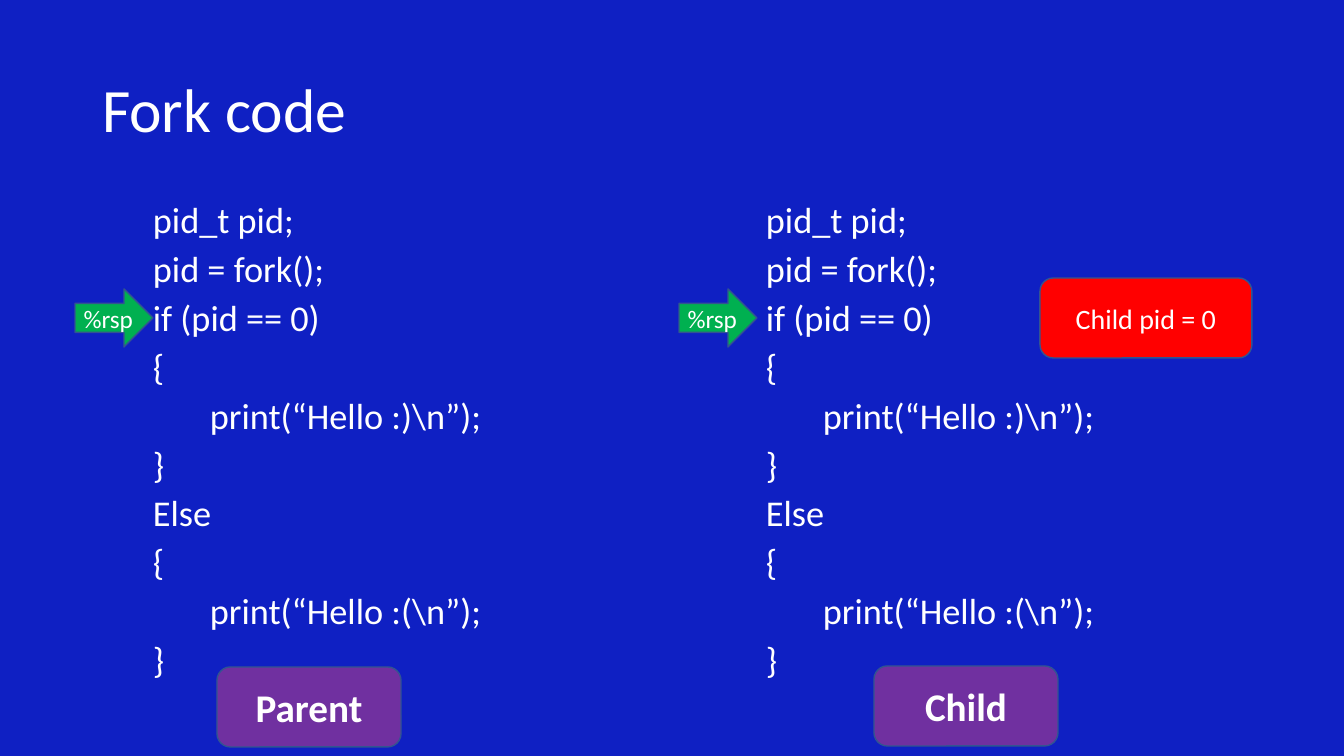
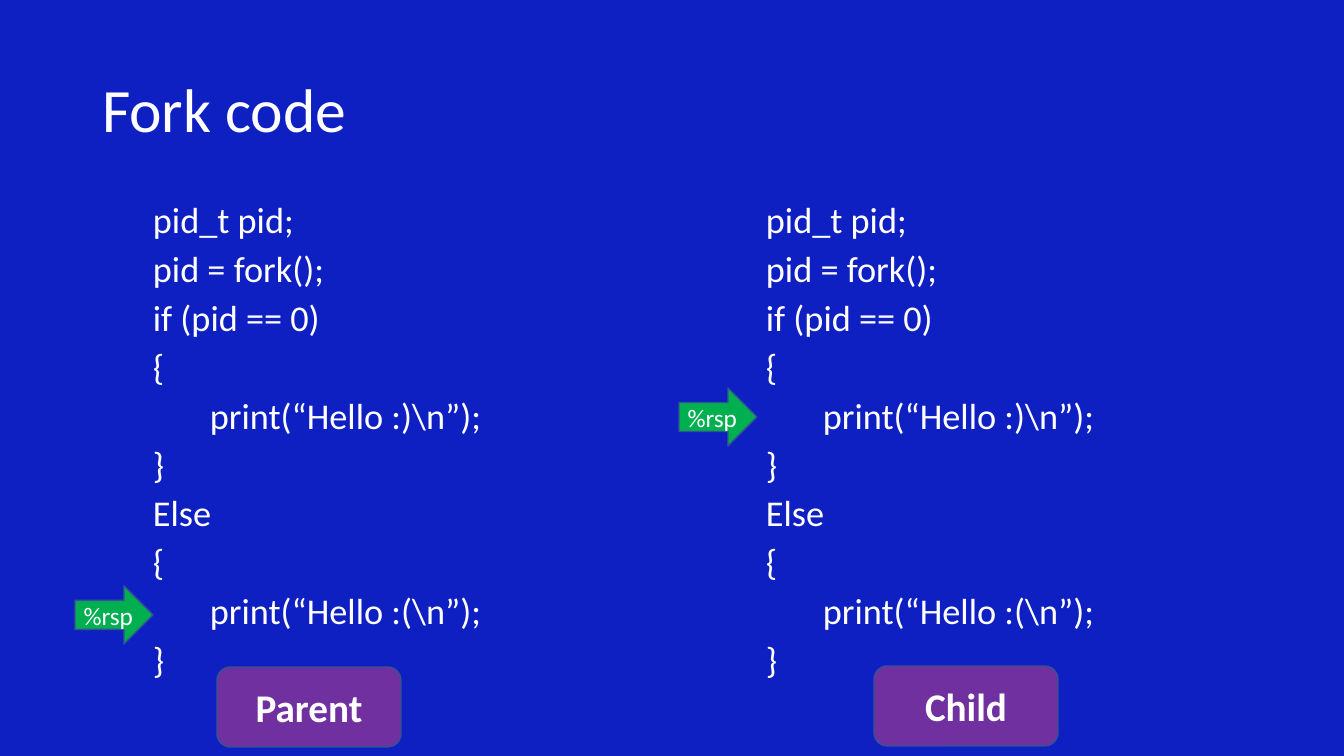
from pptx import Presentation
from pptx.dml.color import RGBColor
from pptx.enum.shapes import MSO_SHAPE as SHAPE
from pptx.enum.text import MSO_ANCHOR as ANCHOR, PP_ALIGN as ALIGN
from pptx.util import Emu, Pt

TITLE = "Fork code"
CODE = [  # indent level, text
    (0, "pid_t pid;"),
    (0, "pid = fork();"),
    (0, "if (pid == 0)"),
    (0, "{"),
    (1, "print(“Hello :)\\n”);"),
    (0, "}"),
    (0, "Else"),
    (0, "{"),
    (1, "print(“Hello :(\\n”);"),
    (0, "}"),
]
POINTER = "%rsp"
PROCESSES = [  # name, code left, arrow left, badge left and top
    ("Parent", 143, 75, 217, 667),
    ("Child", 756, 679, 874, 666),
]
SLIDES = [  # code row of each process, note on the right
    ((2, 2), "Child pid = 0"),
    ((8, 4), None),
]

BLUE, WHITE, OUTLINE = "0F20C3", "FFFFFF", "325491"
GREEN, PURPLE, RED = "00B050", "7030A0", "FF0000"
FONT = "Calibri"
PX = 914400 / 100.8
CODE_TOP, CODE_W, CODE_H, INDENT = 201, 435, 522, 57
ARROW_W, ARROW_H, ARROW_TOP, ROW_H = 78, 58, 190, 49.5
BADGE_W, BADGE_H = 184, 80
NOTE_BOX = (1040, 278, 212, 80)


def px(n):
    """Turn pixels into EMU."""
    return Emu(round(n * PX))


def rgb(hex_text):
    """Turn a hex string into a colour."""
    return RGBColor.from_string(hex_text)


def add_run(p, text, size, bold=False):
    """Add a white run to a paragraph."""
    r = p.add_run()
    r.text = text
    r.font.name, r.font.size, r.font.bold = FONT, Pt(size), bold
    r.font.color.rgb = rgb(WHITE)


def add_title(s):
    """Place and fill the title placeholder."""
    sp = s.shapes.title
    sp.left, sp.top, sp.width, sp.height = map(px, (92, 40, 1160, 146))
    tf = sp.text_frame
    tf.vertical_anchor = ANCHOR.MIDDLE
    p = tf.paragraphs[0]
    p.alignment, p.line_spacing = ALIGN.LEFT, 0.9
    add_run(p, TITLE, 44)


def add_code(s, left):
    """Add the code listing as one text box."""
    sp = s.shapes.add_textbox(*map(px, (left, CODE_TOP, CODE_W, CODE_H)))
    tf = sp.text_frame
    tf.word_wrap = True
    for i, (level, text) in enumerate(CODE):
        p = tf.add_paragraph() if i else tf.paragraphs[0]
        p.line_spacing, p.space_before = 0.8, Pt(10)
        p._p.get_or_add_pPr().set("marL", str(px(level * INDENT)))
        add_run(p, text, 25.9)


def add_label(s, kind, box, fill, text, size, bold=False, inset=0):
    """Add an outlined shape with centred text."""
    sp = s.shapes.add_shape(kind, *map(px, box))
    sp.shadow.inherit = False
    sp.fill.solid()
    sp.fill.fore_color.rgb = rgb(fill)
    sp.line.color.rgb = rgb(OUTLINE)
    sp.line.width = Pt(1)
    tf = sp.text_frame
    tf.word_wrap = True
    tf.vertical_anchor = ANCHOR.MIDDLE
    tf.margin_left = px(inset)
    tf.margin_right = tf.margin_top = tf.margin_bottom = 0
    p = tf.paragraphs[0]
    p.alignment = ALIGN.CENTER
    add_run(p, text, size, bold)


def add_process(s, process, row):
    """Add one process: its code, row pointer and name badge."""
    name, code_left, arrow_left, badge_left, badge_top = process
    add_code(s, code_left)
    arrow = (arrow_left, ARROW_TOP + row * ROW_H, ARROW_W, ARROW_H)
    add_label(s, SHAPE.RIGHT_ARROW, arrow, GREEN, POINTER, 18, inset=3)
    badge = (badge_left, badge_top, BADGE_W, BADGE_H)
    add_label(s, SHAPE.ROUNDED_RECTANGLE, badge, PURPLE, name, 28, bold=True)


prs = Presentation()
prs.slide_width, prs.slide_height = px(1344), px(756)
background = prs.slide_master.background.fill
background.solid()
background.fore_color.rgb = rgb(BLUE)

for rows, note in SLIDES:
    s = prs.slides.add_slide(prs.slide_layouts[5])
    add_title(s)
    for process, row in zip(PROCESSES, rows):
        add_process(s, process, row)
    if note:
        add_label(s, SHAPE.ROUNDED_RECTANGLE, NOTE_BOX, RED, note, 20)

prs.save("out.pptx")
